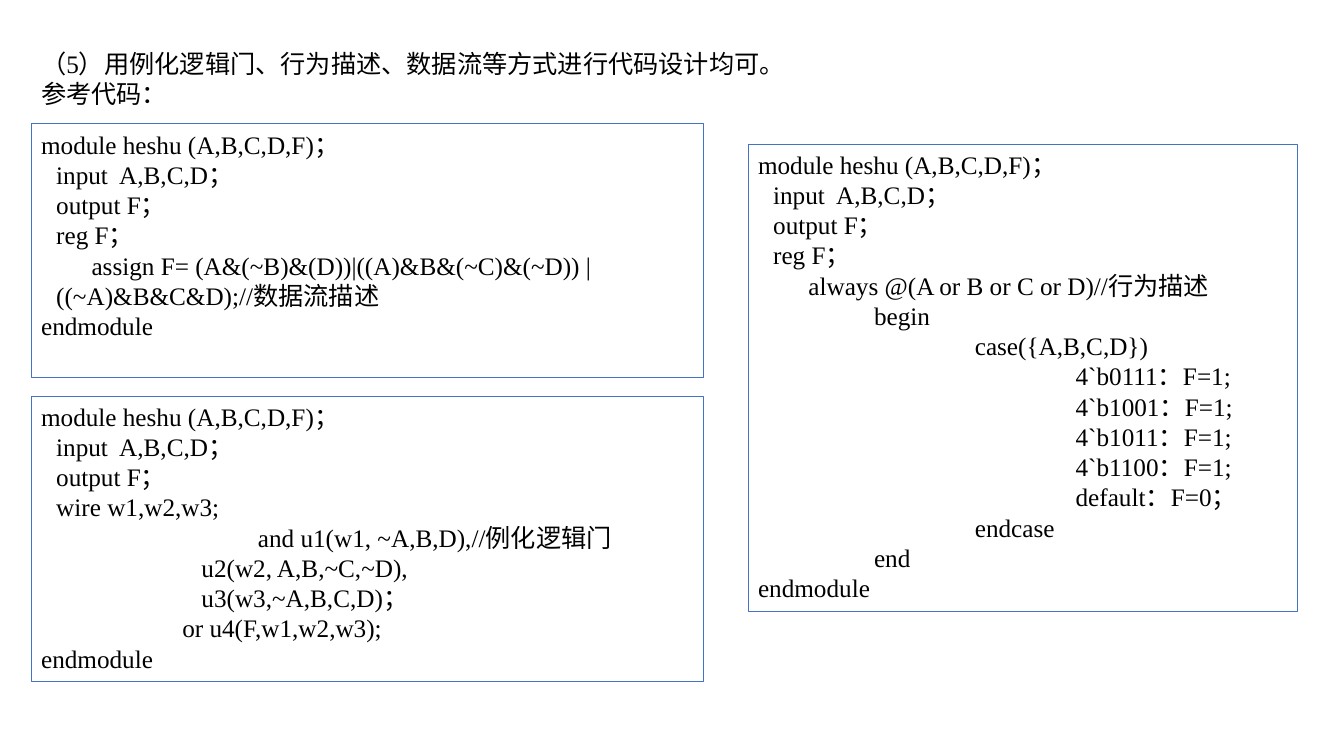
from pptx import Presentation
from pptx.dml.color import RGBColor
from pptx.enum import text
from pptx.util import Inches, Pt

BLACK = RGBColor(0x00, 0x00, 0x00)
BLUE = RGBColor(0x44, 0x72, 0xC4)
BODY, STATEMENT = 0.15, 0.5  # indents of declarations and statements, in inches
BLOCK, CASE, BRANCH = 1.15, 2.15, 3.15  # nesting levels, one inch apart

presentation = Presentation()
presentation.slide_width = Inches(13.33)
presentation.slide_height = Inches(7.5)
slide = presentation.slides.add_slide(presentation.slide_layouts[6])


def add_text(left, top, width, height, lines):
    """Add a text box; each line is (first-line indent, text)."""
    box = slide.shapes.add_textbox(Inches(left), Inches(top), Inches(width), Inches(height))
    frame = box.text_frame
    frame.word_wrap = True
    frame.vertical_anchor = text.MSO_ANCHOR.TOP
    for number, (indent, content) in enumerate(lines):
        paragraph = frame.paragraphs[0] if number == 0 else frame.add_paragraph()
        paragraph.text = content
        paragraph.font.name = "Times New Roman"
        paragraph.font.size = Pt(18)
        paragraph.font.color.rgb = BLACK
        # Wrapped lines fall back to the body indent
        margin = min(indent, BODY)
        properties = paragraph._p.get_or_add_pPr()
        properties.set("marL", str(Inches(margin)))
        properties.set("indent", str(Inches(indent - margin)))
    return box


# Heading
add_text(0.31, 0.43, 12.45, 0.71, [
    (0, "（5）用例化逻辑门、行为描述、数据流等方式进行代码设计均可。"),
    (0, "参考代码："),
])

# Lines shared by the code listings
opening = [
    (0, "module heshu (A,B,C,D,F)；"),
    (BODY, "input  A,B,C,D；"),
    (BODY, "output F；"),
]
register = [(BODY, "reg F；")]
closing = [(0, "endmodule")]

# Statements of each design style
dataflow = register + [
    (STATEMENT, "assign F= (A&(~B)&(D))|((A)&B&(~C)&(~D)) | ((~A)&B&C&D);//数据流描述"),
]
ones = ["0111", "1001", "1011", "1100"]
behaviour = register + [
    (STATEMENT, "always @(A or B or C or D)//行为描述"),
    (BLOCK, "begin"),
    (CASE, "case({A,B,C,D})"),
    *[(BRANCH, f"4`b{bits}：F=1;") for bits in ones],
    (BRANCH, "default：F=0；"),
    (CASE, "endcase"),
    (BLOCK, "end"),
]
gates = [
    (BODY, "wire w1,w2,w3;"),
    (2.15, "and u1(w1, ~A,B,D),//例化逻辑门"),
    (1.59, "u2(w2, A,B,~C,~D),"),
    (1.59, "u3(w3,~A,B,C,D)；"),
    (1.4, "or u4(F,w1,w2,w3);"),
]

# Framed code listings
for left, top, width, height, statements in [
    (0.31, 1.23, 6.67, 2.52, dataflow),
    (7.42, 1.43, 5.45, 4.64, behaviour),
    (0.31, 3.93, 6.67, 2.83, gates),
]:
    listing = add_text(left, top, width, height, opening + statements + closing)
    listing.line.color.rgb = BLUE
    listing.line.width = Pt(0.75)

presentation.save("out.pptx")
